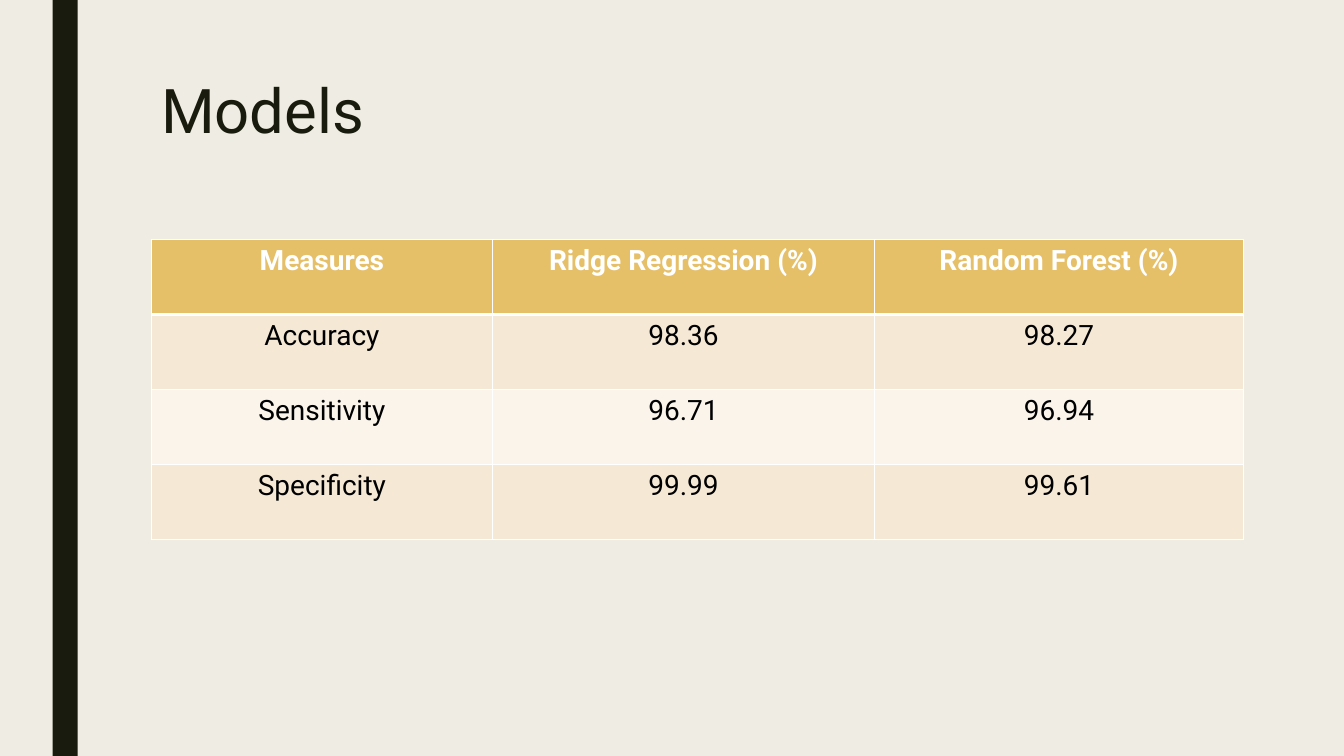
from lxml.etree import SubElement
from pptx import Presentation
from pptx.dml.color import RGBColor
from pptx.enum.shapes import MSO_SHAPE as Shape
from pptx.enum.text import MSO_ANCHOR as Anchor, PP_ALIGN as Align
from pptx.oxml.ns import qn
from pptx.util import Pt

CREAM = RGBColor(0xEF, 0xED, 0xE3)
INK = RGBColor(0x19, 0x1B, 0x0E)
GOLD = RGBColor(0xE6, 0xC0, 0x69)
SAND = RGBColor(0xF5, 0xE8, 0xD4)
IVORY = RGBColor(0xFA, 0xF4, 0xEB)
WHITE = RGBColor(0xFF, 0xFF, 0xFF)
BLACK = RGBColor(0, 0, 0)

PAGE_WIDTH, PAGE_HEIGHT = 960, 540
COLUMN_WIDTHS = (244, 272.5, 264)
ROW_HEIGHT = 53.6
MEASURES = (
    ("Measures", "Ridge Regression (%)", "Random Forest (%)"),
    ("Accuracy", "98.36", "98.27"),
    ("Sensitivity", "96.71", "96.94"),
    ("Specificity", "99.99", "99.61"),
)


class SlideBuilder:
    font_name = "Roboto"

    def __init__(self, page):
        self.page = page

    def background(self, color):
        fill = self.page.background.fill
        fill.solid()
        fill.fore_color.rgb = color

    def bar(self, left, top, width, height, color):
        bar = self.page.shapes.add_shape(
            Shape.RECTANGLE, Pt(left), Pt(top), Pt(width), Pt(height))
        bar.shadow.inherit = False
        bar.fill.solid()
        bar.fill.fore_color.rgb = color
        bar.line.fill.background()

    def style(self, para, size, color, bold=False):
        for span in para.runs:
            span.font.name = self.font_name
            span.font.size = Pt(size)
            span.font.bold = bold
            span.font.color.rgb = color

    def title(self, text, left, top, width, height):
        box = self.page.shapes.add_textbox(Pt(left), Pt(top), Pt(width), Pt(height))
        frame = box.text_frame
        frame.word_wrap = True
        frame.vertical_anchor = Anchor.TOP
        frame.text = text
        para = frame.paragraphs[0]
        para.line_spacing = 0.89
        self.style(para, 44, INK)

    def borders(self, cell, widths):
        """Draw white cell borders; widths maps a:lnL, a:lnR, a:lnT, a:lnB to points."""
        properties = cell._tc.get_or_add_tcPr()
        for position, (tag, width) in enumerate(widths.items()):
            line = SubElement(properties, qn(tag), w=str(Pt(width)))
            fill = SubElement(line, qn("a:solidFill"))
            SubElement(fill, qn("a:srgbClr"), val=str(WHITE))
            properties.insert(position, line)

    def table(self, rows, left, top, column_widths, row_height):
        table = self.page.shapes.add_table(
            len(rows), len(column_widths), Pt(left), Pt(top),
            Pt(sum(column_widths)), Pt(row_height * len(rows))).table
        for column, width in zip(table.columns, column_widths):
            column.width = Pt(width)
        for index, texts in enumerate(rows):
            table.rows[index].height = Pt(row_height)
            header = index == 0
            band = GOLD if header else (IVORY, SAND)[index % 2]
            for cell, text in zip(table.rows[index].cells, texts):
                cell.text_frame.text = text
                para = cell.text_frame.paragraphs[0]
                para.alignment = Align.CENTER
                self.style(para, 20, WHITE if header else BLACK, header)
                cell.fill.solid()
                cell.fill.fore_color.rgb = band
                self.borders(cell, {
                    "a:lnL": 1, "a:lnR": 1,
                    "a:lnT": 3 if index == 1 else 1,
                    "a:lnB": 3 if header else 1})


def main():
    deck = Presentation()
    deck.slide_width, deck.slide_height = Pt(PAGE_WIDTH), Pt(PAGE_HEIGHT)
    builder = SlideBuilder(deck.slides.add_slide(deck.slide_layouts[6]))
    builder.background(CREAM)
    builder.bar(37.5, 0, 18, PAGE_HEIGHT, INK)
    builder.title("Models", 108, 54, 756, 116.6)
    builder.table(MEASURES, 108, 171, COLUMN_WIDTHS, ROW_HEIGHT)
    deck.save("out.pptx")


if __name__ == "__main__":
    main()
